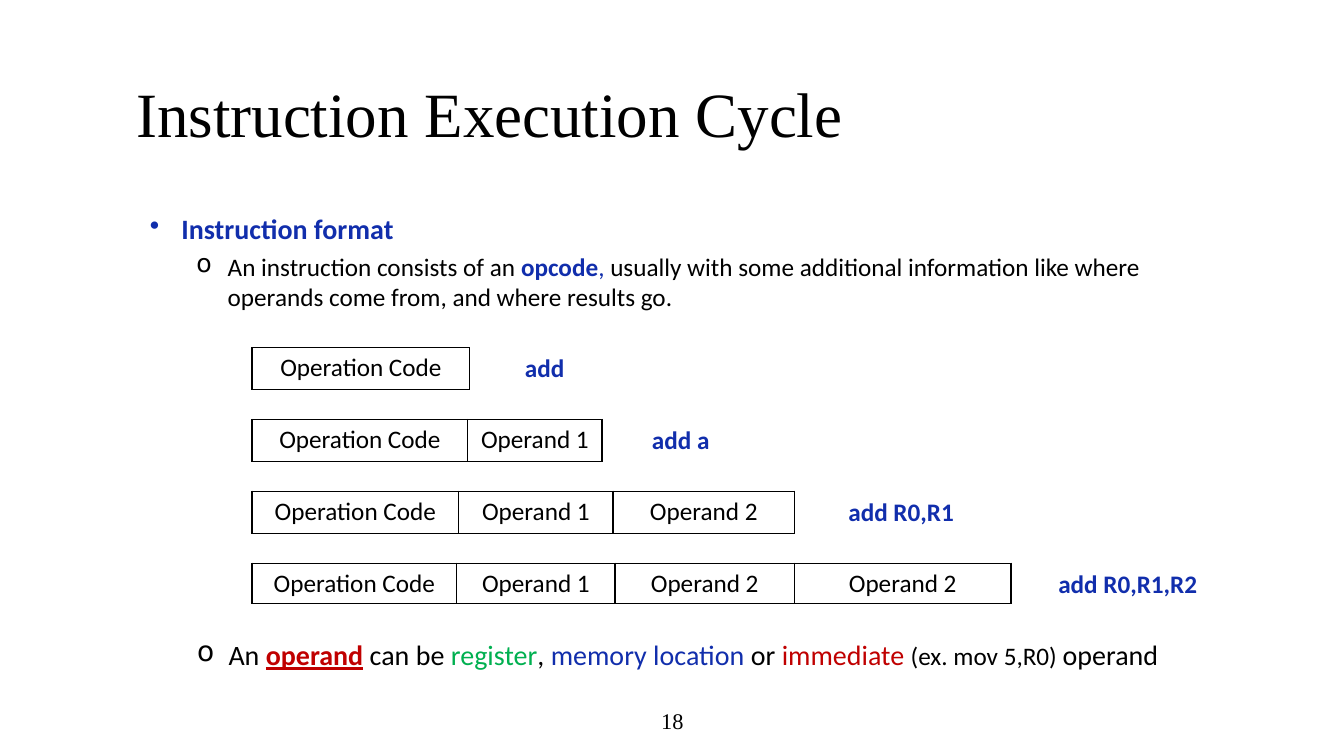
from lxml.etree import SubElement
from pptx import Presentation
from pptx.dml.color import RGBColor
from pptx.enum.text import MSO_ANCHOR, MSO_AUTO_SIZE, PP_ALIGN
from pptx.oxml.ns import qn
from pptx.util import Cm, Pt

BLACK = RGBColor(0x00, 0x00, 0x00)
BLUE = RGBColor(0x11, 0x2E, 0xAC)
RED = RGBColor(0xC0, 0x00, 0x00)
GREEN = RGBColor(0x00, 0xB0, 0x50)
SERIF = "Times New Roman"
SANS = "Calibri"


class Deck:
    """Holds the style and the current slide."""

    def __init__(self):
        self.file = Presentation()
        self.file.slide_width = Cm(33.87)
        self.file.slide_height = Cm(19.05)
        self.slide = self.file.slides.add_slide(self.file.slide_layouts[6])

    def style(self, run, size, color=BLACK, bold=False, line=False, face=SANS):
        font = run.font
        font.name, font.size = face, Pt(size)
        font.bold, font.underline = bold, line
        font.color.rgb = color

    def box(self, x, y, w, h, wrap=True, grow=True):
        frame = self.slide.shapes.add_textbox(Cm(x), Cm(y), Cm(w), Cm(h)).text_frame
        frame.word_wrap = wrap
        frame.auto_size = MSO_AUTO_SIZE.SHAPE_TO_FIT_TEXT if grow else MSO_AUTO_SIZE.NONE
        return frame

    def label(self, text, x, y, w, h, size, face):
        frame = self.box(x, y, w, h, grow=False)
        frame.vertical_anchor = MSO_ANCHOR.MIDDLE
        frame.text = text
        para = frame.paragraphs[0]
        self.style(para.runs[0], size, face=face)
        return para

    def command(self, text, x, y, w):
        frame = self.box(x, y, w, 1.02, wrap=False)
        frame.text = text
        self.style(frame.paragraphs[0].runs[0], 18, BLUE, bold=True)

    def bullet(self, mark, parts, x, y, w, h, wrap=True):
        para = self.box(x, y, w, h, wrap).paragraphs[0]
        props = para._p.get_or_add_pPr()
        props.set("marL", str(Cm(0.79)))
        props.set("indent", str(-Cm(0.79)))
        SubElement(props, qn("a:buChar"), char=mark)
        for text, *look in parts:
            run = para.add_run()
            run.text = text
            self.style(run, *look)

    def border(self, cell):
        props = cell._tc.get_or_add_tcPr()
        for side in ("lnL", "lnR", "lnT", "lnB"):
            line = SubElement(props, qn("a:" + side), w=str(Pt(1)))
            fill = SubElement(line, qn("a:solidFill"))
            SubElement(fill, qn("a:srgbClr"), val=str(BLACK))

    def table(self, words, widths, x, y, h):
        grid = self.slide.shapes.add_table(
            1, len(words), Cm(x), Cm(y), Cm(sum(widths)), Cm(h)).table
        grid.first_row = grid.horz_banding = False
        grid.rows[0].height = Cm(h)
        for i, (word, width) in enumerate(zip(words, widths)):
            grid.columns[i].width = Cm(width)
            cell = grid.cell(0, i)
            self.border(cell)
            cell.fill.background()
            cell.text = word
            para = cell.text_frame.paragraphs[0]
            para.alignment = PP_ALIGN.CENTER
            self.style(para.runs[0], 18)


def main():
    deck = Deck()

    # Title and page number
    title = deck.label("Instruction Execution Cycle", 3.18, 0.94, 27.94, 4.04, 45, SERIF)
    title.line_spacing = 0.9
    page = deck.label("18", 11.23, 17.65, 11.43, 1.02, 16, SERIF)
    page.alignment = PP_ALIGN.CENTER

    # Opening bullets
    deck.bullet("•", [("Instruction format", 20, BLUE, True)],
                3.53, 5.21, 6.71, 1.12, wrap=False)
    deck.bullet("o", [
        ("An instruction consists of an ", 18),
        ("opcode", 18, BLUE, True),
        (",", 18, BLUE),
        (" usually with some additional information like where operands"
         " come from, and where results go.", 18),
    ], 4.7, 6.2, 24.51, 1.8)

    # Instruction formats: cells, column widths, height, command, its left and width
    words = ["Operation Code", "Operand 1", "Operand 2", "Operand 2"]
    forms = [
        ([5.49], 1.06, "add", 12.98, 1.52),
        ([5.44, 3.38], 1.06, "add a", 16.18, 1.98),
        ([5.21, 3.89, 4.57], 1.06, "add R0,R1", 21.13, 3.35),
        ([5.16, 3.99, 4.52, 5.46], 1.02, "add R0,R1,R2", 26.42, 4.19),
    ]
    for i, (widths, high, code, left, width) in enumerate(forms):
        top = 8.76 + 1.81 * i
        deck.table(words[:len(widths)], widths, 6.35, top, high)
        deck.command(code, left, top, width)

    # Closing bullet
    deck.bullet("o", [
        ("An ", 20),
        ("operand", 20, RED, True, True),
        (" can be ", 20),
        ("register", 20, GREEN),
        (", ", 20),
        ("memory location ", 20, BLUE),
        ("or ", 20),
        ("immediate ", 20, RED),
        ("(ex. mov 5,R0) ", 18),
        ("operand", 20),
    ], 4.72, 15.95, 25.43, 1.12)

    deck.file.save("out.pptx")


if __name__ == "__main__":
    main()
